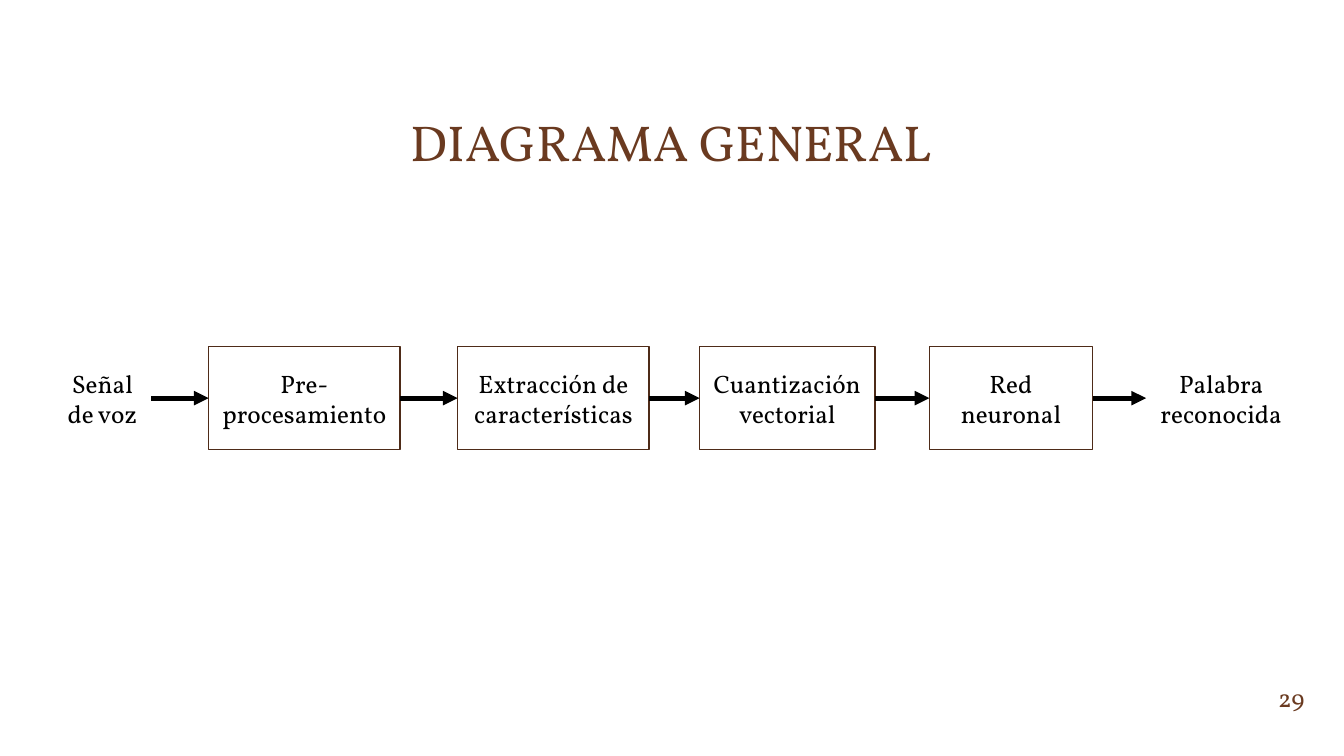
from dataclasses import dataclass
from itertools import pairwise

import pptx
import pptx.dml.color
import pptx.enum.shapes
import pptx.enum.text
import pptx.oxml
import pptx.oxml.ns
import pptx.util

Pt = pptx.util.Pt
RGBColor = pptx.dml.color.RGBColor
Align = pptx.enum.text.PP_ALIGN
Anchor = pptx.enum.text.MSO_ANCHOR


@dataclass(frozen=True)
class Theme:
    font: str = "Vollkorn"
    accent: RGBColor = RGBColor(0x6A, 0x3A, 0x20)
    border: RGBColor = RGBColor(0x4E, 0x2B, 0x18)
    ink: RGBColor = RGBColor(0, 0, 0)
    title_size: float = 36
    body_size: float = 18
    border_width: float = 1
    arrow_width: float = 3.5


THEME = Theme()

# Label, left, width, framed
STAGES = [
    ("Señal de voz", 38.2, 69.8, False),
    ("Pre-procesamiento", 149, 136.8, True),
    ("Extracción de características", 326.9, 136.8, True),
    ("Cuantización vectorial", 499.7, 125.3, True),
    ("Red neuronal", 663.8, 116.6, True),
    ("Palabra reconocida", 818.6, 107.3, False),
]


def write_text(shape, text, size, color, alignment=Align.CENTER, anchor=Anchor.MIDDLE):
    frame = shape.text_frame
    frame.word_wrap = True
    frame.vertical_anchor = anchor
    paragraph = frame.paragraphs[0]
    paragraph.alignment = alignment
    run = paragraph.add_run()
    run.text = text
    run.font.name = THEME.font
    run.font.size = Pt(size)
    run.font.color.rgb = color


def add_label(slide, box, *text_options):
    shape = slide.shapes.add_textbox(*map(Pt, box))
    write_text(shape, *text_options)


def add_framed_stage(slide, box, label):
    shape = slide.shapes.add_shape(pptx.enum.shapes.MSO_SHAPE.RECTANGLE, *map(Pt, box))
    shape.shadow.inherit = False
    shape.fill.background()
    shape.line.color.rgb = THEME.border
    shape.line.width = Pt(THEME.border_width)
    write_text(shape, label, THEME.body_size, THEME.ink)


def add_arrow(slide, start, end, y):
    connector = slide.shapes.add_connector(
        pptx.enum.shapes.MSO_CONNECTOR.STRAIGHT, Pt(start), Pt(y), Pt(end), Pt(y))
    connector.line.color.rgb = THEME.ink
    connector.line.width = Pt(THEME.arrow_width)
    line = connector.line._get_or_add_ln()
    line.append(pptx.oxml.parse_xml(
        f'<a:tailEnd {pptx.oxml.ns.nsdecls("a")} type="triangle"/>'))
    connector._element.spPr.append(pptx.oxml.parse_xml(
        f'<a:effectLst {pptx.oxml.ns.nsdecls("a")}/>'))


def add_flow(slide, top, height):
    """Draw the stages in a row and join each one to the next."""
    for label, left, width, framed in STAGES:
        box = (left, top, width, height)
        if framed:
            add_framed_stage(slide, box, label)
        else:
            add_label(slide, box, label, THEME.body_size, THEME.ink)
    for (_, left, width, _), (_, next_left, _, _) in pairwise(STAGES):
        add_arrow(slide, left + width, next_left, top + height / 2)


def add_diagram_slide(presentation):
    slide = presentation.slides.add_slide(presentation.slide_layouts[6])
    add_label(slide, (95.8, 33.8, 767.5, 92.2), "DIAGRAMA GENERAL",
              THEME.title_size, THEME.accent, Align.CENTER, Anchor.BOTTOM)
    add_label(slide, (882.7, 486, 56.2, 23.8), "29",
              THEME.body_size, THEME.accent, Align.RIGHT)
    add_flow(slide, top=247.7, height=73.4)


def main():
    presentation = pptx.Presentation()
    presentation.slide_width = Pt(960)
    presentation.slide_height = Pt(540)
    add_diagram_slide(presentation)
    presentation.save("out.pptx")


if __name__ == "__main__":
    main()
